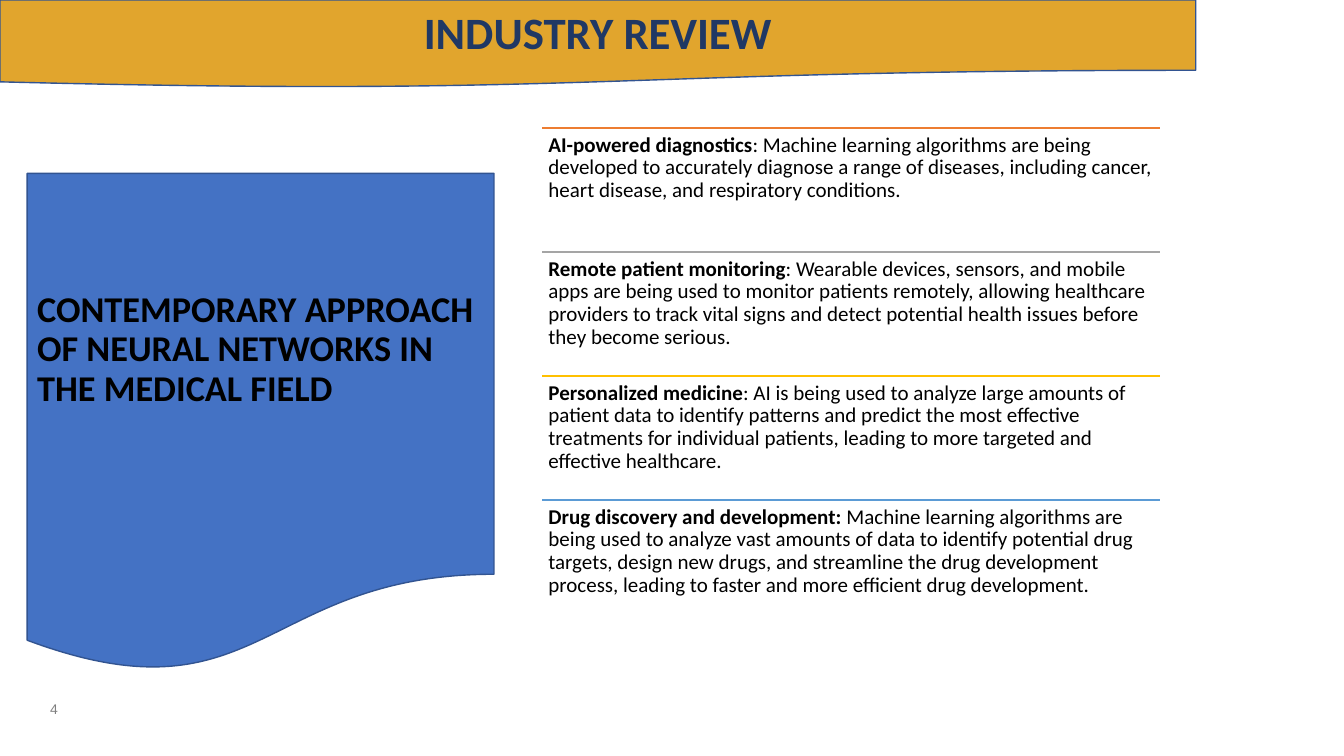
from dataclasses import dataclass

from lxml.etree import SubElement
from pptx import Presentation
from pptx.dml.color import RGBColor
from pptx.enum.shapes import MSO_CONNECTOR, MSO_SHAPE
from pptx.enum.text import MSO_ANCHOR, MSO_AUTO_SIZE, PP_ALIGN
from pptx.oxml.ns import qn
from pptx.util import Inches, Pt


@dataclass(frozen=True)
class Theme:
    """Colours, fonts and type sizes of the slide."""
    band: str = "E1A52D"
    panel: str = "4472C4"
    outline: str = "325491"
    heading: str = "203864"
    ink: str = "000000"
    muted: str = "808080"
    rules: tuple = ("ED7D31", "A5A5A5", "FFC000", "5B9BD5")
    font: str = "Calibri"
    number_font: str = "Arial"
    heading_size: float = 32
    panel_size: float = 25.9
    item_size: float = 15
    number_size: float = 10


THEME = Theme()

TRENDS = [
    ("AI-powered diagnostics",
     ": Machine learning algorithms are being developed to accurately diagnose a range of "
     "diseases, including cancer, heart disease, and respiratory conditions."),
    ("Remote patient monitoring",
     ": Wearable devices, sensors, and mobile apps are being used to monitor patients "
     "remotely, allowing healthcare providers to track vital signs and detect potential "
     "health issues before they become serious."),
    ("Personalized medicine",
     ": AI is being used to analyze large amounts of patient data to identify patterns and "
     "predict the most effective treatments for individual patients, leading to more "
     "targeted and effective healthcare."),
    ("Drug discovery and development: ",
     "Machine learning algorithms are being used to analyze vast amounts of data to identify "
     "potential drug targets, design new drugs, and streamline the drug development process, "
     "leading to faster and more efficient drug development."),
]


def add_run(paragraph, text, size, color, bold=False, font=THEME.font):
    """Append one formatted run."""
    run = paragraph.add_run()
    run.text = text
    run.font.name = font
    run.font.size = Pt(size)
    run.font.bold = bold
    run.font.color.rgb = RGBColor.from_string(color)


def set_frame(frame, anchor, align, line_spacing=0.9):
    """Prepare a text frame and return its first paragraph."""
    frame.word_wrap = True
    frame.auto_size = MSO_AUTO_SIZE.NONE
    frame.vertical_anchor = anchor
    paragraph = frame.paragraphs[0]
    paragraph.alignment = align
    paragraph.line_spacing = line_spacing
    paragraph.space_before = Pt(0)
    return paragraph


def add_wave(slide, left, top, width, height, fill):
    """Add a wavy-bottomed document shape."""
    wave = slide.shapes.add_shape(MSO_SHAPE.FLOWCHART_DOCUMENT, Inches(left), Inches(top),
                                  Inches(width), Inches(height))
    wave.shadow.inherit = False
    wave.fill.solid()
    wave.fill.fore_color.rgb = RGBColor.from_string(fill)
    wave.line.color.rgb = RGBColor.from_string(THEME.outline)
    wave.line.width = Pt(1)
    return wave


def add_heading(slide, text):
    """Set the title on a band across the top."""
    band = add_wave(slide, 0, 0, 11.86, 0.87, THEME.band)
    title = slide.shapes.title
    band._element.addnext(title._element)
    title.left, title.top = Inches(0), Inches(0)
    title.width, title.height = Inches(11.86), Inches(0.7)
    paragraph = set_frame(title.text_frame, MSO_ANCHOR.MIDDLE, PP_ALIGN.CENTER)
    add_run(paragraph, text, THEME.heading_size, THEME.heading, bold=True)


def add_panel(slide, text):
    """Add the topic panel on the left."""
    panel = add_wave(slide, 0.27, 1.72, 4.63, 4.96, THEME.panel)
    panel.text_frame.margin_bottom = Inches(0.52)
    paragraph = set_frame(panel.text_frame, MSO_ANCHOR.MIDDLE, PP_ALIGN.LEFT)
    add_run(paragraph, text, THEME.panel_size, THEME.ink, bold=True)


def add_rule(slide, left, top, width, color):
    """Add a thin horizontal rule."""
    rule = slide.shapes.add_connector(MSO_CONNECTOR.STRAIGHT, Inches(left), Inches(top),
                                      Inches(left + width), Inches(top))
    rule.line.color.rgb = RGBColor.from_string(color)
    rule.line.width = Pt(1)
    SubElement(rule._element.spPr, qn("a:effectLst"))


def add_trend(slide, top, height, name, detail, color):
    """Add one trend under its coloured rule."""
    left, width = 5.38, 6.13
    add_rule(slide, left, top, width, color)
    trend = slide.shapes.add_textbox(Inches(left), Inches(top), Inches(width), Inches(height))
    frame = trend.text_frame
    frame.margin_left = frame.margin_right = Inches(0.06)
    frame.margin_top = frame.margin_bottom = Inches(0.06)
    paragraph = set_frame(frame, MSO_ANCHOR.TOP, PP_ALIGN.LEFT)
    add_run(paragraph, name, THEME.item_size, THEME.ink, bold=True)
    add_run(paragraph, detail, THEME.item_size, THEME.ink)


def add_page_number(slide, number):
    """Add the page number at the lower left."""
    page = slide.shapes.add_textbox(Inches(0.16), Inches(6.83), Inches(0.75), Inches(0.4))
    paragraph = set_frame(page.text_frame, MSO_ANCHOR.MIDDLE, PP_ALIGN.CENTER, 1.0)
    add_run(paragraph, number, THEME.number_size, THEME.muted, font=THEME.number_font)


def main():
    """Build and save the slide."""
    deck = Presentation()
    deck.slide_width, deck.slide_height = Inches(13.33), Inches(7.5)
    slide = deck.slides.add_slide(deck.slide_layouts.get_by_name("Title Only"))
    add_heading(slide, "INDUSTRY REVIEW")
    add_panel(slide, "CONTEMPORARY APPROACH OF NEURAL NETWORKS IN THE MEDICAL FIELD")
    first_top, step = 1.27, 1.23
    for index, ((name, detail), color) in enumerate(zip(TRENDS, THEME.rules)):
        add_trend(slide, first_top + index * step, step, name, detail, color)
    add_page_number(slide, "4")
    deck.save("out.pptx")


if __name__ == "__main__":
    main()
